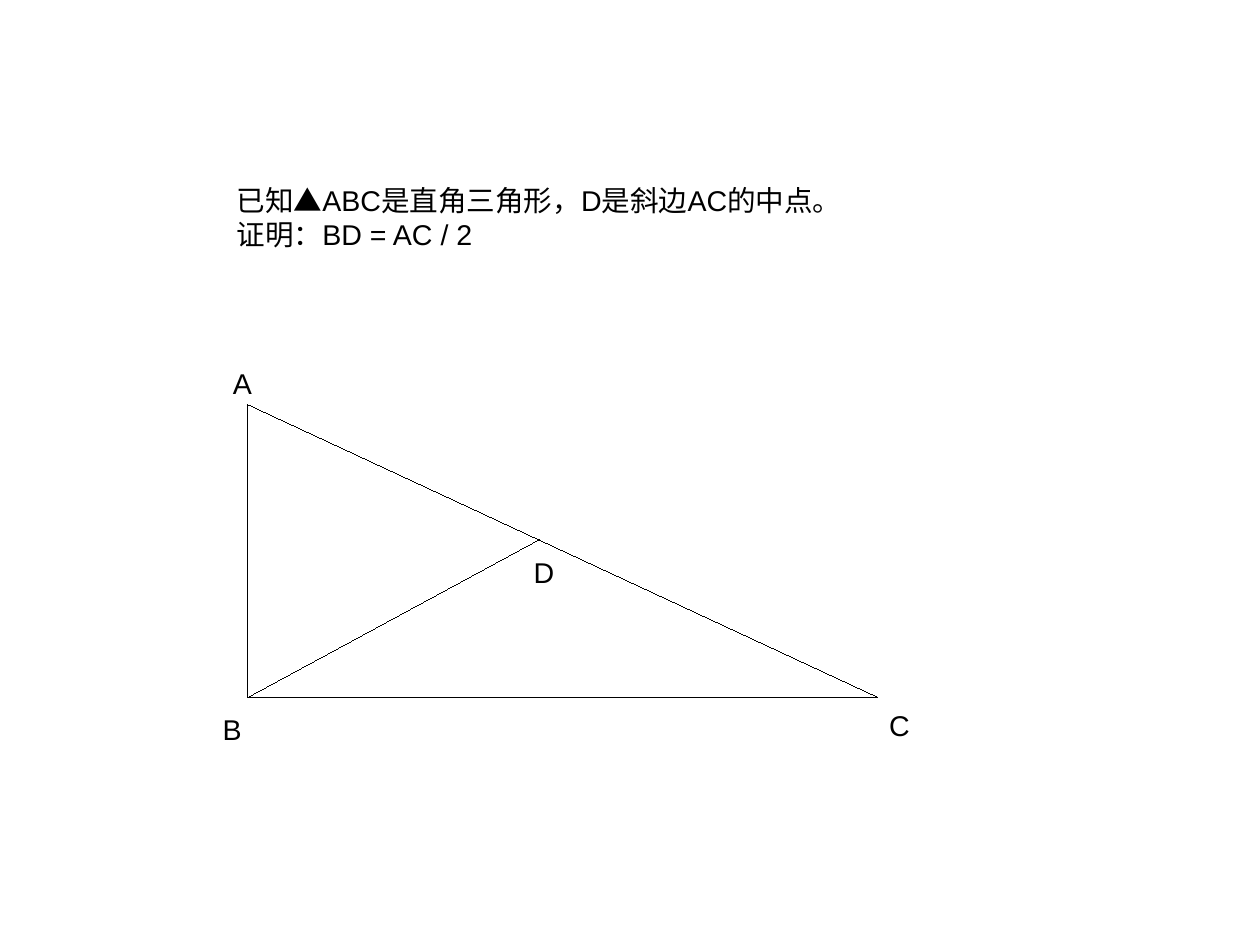
import pptx
import pptx.dml.color
import pptx.enum.shapes
import pptx.enum.text
import pptx.oxml.ns
import pptx.oxml.xmlchemy
import pptx.util
from pptx.util import Inches
from dataclasses import dataclass

# Content: the problem, the points of the figure and its segments
PROBLEM = ["已知▲ABC是直角三角形，D是斜边AC的中点。", "证明：BD = AC / 2"]
PROBLEM_BOX = (1.97, 1.55, 5.87, 0.82)
POINTS = {"A": (2.17, 3.54), "B": (2.17, 6.1), "C": (7.68, 6.1), "D": (4.72, 4.72)}
SEGMENTS = ["CB", "AB", "AC", "BD"]
LABEL_BOXES = {
    "A": (1.94, 3.15, 0.36, 0.38),
    "B": (1.85, 6.18, 0.36, 0.38),
    "C": (7.68, 6.14, 0.38, 0.38),
    "D": (4.57, 4.81, 0.38, 0.38),
}


@dataclass(frozen=True)
class Theme:
    font: str = "Arial"
    size: int = 18
    line_width: int = 0
    ink: pptx.dml.color.RGBColor = pptx.dml.color.RGBColor(0, 0, 0)


THEME = Theme()


def write_lines(box, lines, wrap):
    frame = box.text_frame
    frame.word_wrap = wrap
    frame.auto_size = pptx.enum.text.MSO_AUTO_SIZE.SHAPE_TO_FIT_TEXT
    frame.vertical_anchor = pptx.enum.text.MSO_ANCHOR.TOP
    for index, line in enumerate(lines):
        para = frame.add_paragraph() if index else frame.paragraphs[0]
        para.alignment = pptx.enum.text.PP_ALIGN.LEFT
        span = para.add_run()
        span.text = line
        span.font.name = THEME.font
        span.font.size = pptx.util.Pt(THEME.size)
        span.font.color.rgb = THEME.ink


def draw_segment(page, start, end):
    segment = page.shapes.add_connector(
        pptx.enum.shapes.MSO_CONNECTOR.STRAIGHT,
        *map(Inches, POINTS[start] + POINTS[end]),
    )
    segment.line.color.rgb = THEME.ink
    # A hairline needs its zero width written out
    properties = segment._element.spPr
    outline = properties.find(pptx.oxml.ns.qn("a:ln"))
    outline.set("w", str(pptx.util.Pt(THEME.line_width)))
    properties.append(pptx.oxml.xmlchemy.OxmlElement("a:effectLst"))


def main():
    # The page is 28 by 21 cm
    deck = pptx.Presentation()
    deck.slide_width, deck.slide_height = pptx.util.Cm(28), pptx.util.Cm(21)
    page = deck.slides.add_slide(deck.slide_layouts.get_by_name("Title Only"))

    # Triangle and median
    for start, end in SEGMENTS:
        draw_segment(page, start, end)

    # Problem statement
    title = page.shapes.title
    title.left, title.top, title.width, title.height = map(Inches, PROBLEM_BOX)
    write_lines(title, PROBLEM, wrap=True)

    # Point labels
    for name, place in LABEL_BOXES.items():
        label = page.shapes.add_textbox(*map(Inches, place))
        write_lines(label, [name], wrap=False)

    deck.save("out.pptx")


if __name__ == "__main__":
    main()
